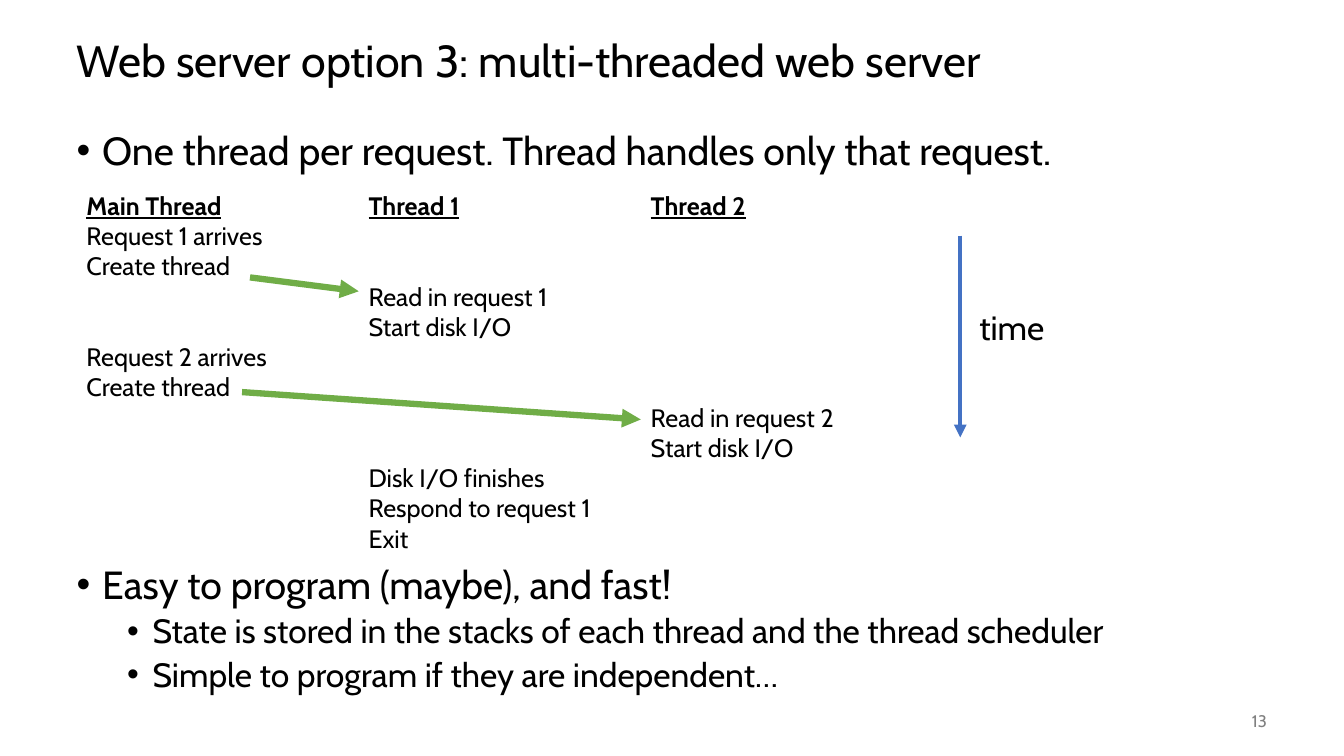
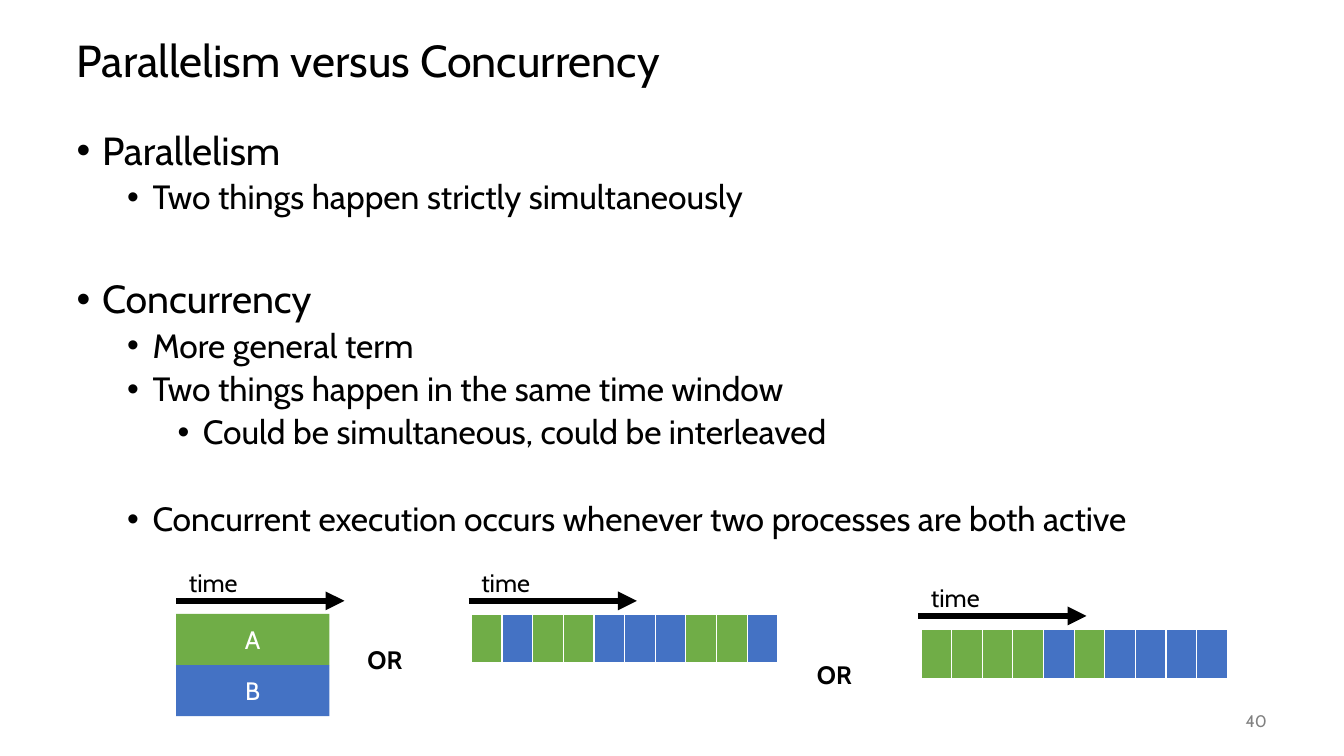
from pptx import Presentation
from pptx import util as u
from pptx.dml.color import RGBColor
from pptx.enum import shapes, text
from pptx.oxml.ns import qn
from lxml import etree

# Shared style
FONT = "Cabin"
BLACK, WHITE, GREY = "000000", "FFFFFF", "808080"
GREEN, BLUE = "70AD47", "4472C4"
LEFT, WIDTH = 1.68, 30.48
LEVELS = [(28, 14), (24, 5), (24, 5)]  # text size, space before
ROW_HEIGHT = 21.6  # points per row of the thread columns

# Content: bullets are (level, text, extra gap above in points)
THREADED = {
    "title": "Web server option 3: multi-threaded web server",
    "number": "13",
    "bullets": [
        (0, "One thread per request. Thread handles only that request.", 0),
        (0, "Easy to program (maybe), and fast!", 266),
        (1, "State is stored in the stacks of each thread and the thread scheduler", 0),
        (1, "Simple to program if they are independent…", 0),
    ],
}
CONCURRENCY = {
    "title": "Parallelism versus Concurrency",
    "number": "40",
    "bullets": [
        (0, "Parallelism", 0),
        (1, "Two things happen strictly simultaneously", 0),
        (0, "Concurrency", 31),
        (1, "More general term", 0),
        (1, "Two things happen in the same time window", 0),
        (2, "Could be simultaneous, could be interleaved", 0),
        (1, "Concurrent execution occurs whenever two processes are both active", 31),
    ],
}
# Each thread maps a time row to what happens then
THREADS = [
    {0: "Main Thread", 1: "Request 1 arrives", 2: "Create thread",
     5: "Request 2 arrives", 6: "Create thread"},
    {0: "Thread 1", 3: "Read in request 1", 4: "Start disk I/O",
     9: "Disk I/O finishes", 10: "Respond to request 1", 11: "Exit"},
    {0: "Thread 2", 7: "Read in request 2", 8: "Start disk I/O"},
]
SPAWN_ARROWS = [((6.3, 6.99), (9.04, 7.34)), ((6.1, 9.88), (16.15, 10.57))]
PROCESSES = {"A": GREEN, "B": BLUE}
# Timelines: arrow left, arrow height, order of slices (None when stacked)
TIMELINES = [(4.44, 15.14, None), (11.81, 15.14, "ABAABBBAAB"),
             (23.14, 15.52, "AAAABABBBB")]


def colour(value):
    return RGBColor.from_string(value)


def set_font(para, size, shade=BLACK, bold=False):
    font = para.font
    font.name, font.size, font.bold = FONT, u.Pt(size), bold
    font.color.rgb = colour(shade)


def lengths(*values):
    return [u.Cm(value) for value in values]


def add_label(page, words, place, size=18, shade=BLACK, bold=False, wrap=True):
    box = page.shapes.add_textbox(*lengths(*place))
    box.text_frame.word_wrap = wrap
    para = box.text_frame.paragraphs[0]
    para.text = words
    set_font(para, size, shade, bold)
    return box


def add_arrow(page, start, end, shade, width):
    line = page.shapes.add_connector(shapes.MSO_CONNECTOR.STRAIGHT,
                                     *lengths(*start, *end))
    line.line.color.rgb = colour(shade)
    line.line.width = u.Pt(width)
    etree.SubElement(line.line._get_or_add_ln(), qn("a:tailEnd"), type="triangle")
    etree.SubElement(line._element.spPr, qn("a:effectLst"))


def move(shape, *place):
    shape.left, shape.top, shape.width, shape.height = lengths(*place)


def add_bullet(para, level, words, gap):
    size, space = LEVELS[level]
    para.text, para.level, para.line_spacing = words, level, 0.9
    para.space_before = u.Pt(space + gap)
    props = para._p.get_or_add_pPr()
    props.set("marL", str(u.Cm(0.64 + 1.27 * level)))
    props.set("indent", str(-u.Cm(0.64)))
    etree.SubElement(props, qn("a:buChar"), char="•")
    set_font(para, size)


def add_page(deck, content):
    page = deck.slides.add_slide(deck.slide_layouts[1])
    # Title
    title = page.shapes.title
    move(title, LEFT, 0.64, WIDTH, 1.9)
    title.text_frame.vertical_anchor = text.MSO_ANCHOR.MIDDLE
    title.text_frame.auto_size = text.MSO_AUTO_SIZE.NONE
    para = title.text_frame.paragraphs[0]
    para.text, para.line_spacing = content["title"], 0.9
    para.alignment = text.PP_ALIGN.LEFT
    set_font(para, 32)
    # Bulleted body
    body = page.placeholders[1]
    move(body, LEFT, 3.18, WIDTH, 14.4)
    frame = body.text_frame
    frame.auto_size = text.MSO_AUTO_SIZE.NONE
    for index, bullet in enumerate(content["bullets"]):
        para = frame.add_paragraph() if index else frame.paragraphs[0]
        add_bullet(para, *bullet)
    frame.paragraphs[0].space_before = u.Pt(0)
    # Slide number
    number = add_label(page, content["number"], (29.64, 17.65, 2.54, 1.02), 12, GREY)
    number.text_frame.vertical_anchor = text.MSO_ANCHOR.MIDDLE
    number.text_frame.paragraphs[0].alignment = text.PP_ALIGN.RIGHT
    return page


def add_thread(page, left, events):
    heading, *steps = events.items()
    box = add_label(page, heading[1], (left, 4.67, 7.11, 10), bold=True)
    box.text_frame.paragraphs[0].font.underline = True
    previous = heading[0]
    for row, words in steps:
        para = box.text_frame.add_paragraph()
        para.text = words
        para.space_before = u.Pt((row - previous - 1) * ROW_HEIGHT)
        set_font(para, 18)
        previous = row


def add_stack(page, left, top):
    height = 1.29
    for index, (name, shade) in enumerate(PROCESSES.items()):
        box = page.shapes.add_shape(
            shapes.MSO_SHAPE.RECTANGLE,
            *lengths(left, top + index * height, 3.86, height))
        box.shadow.inherit = False
        box.fill.solid()
        box.fill.fore_color.rgb = colour(shade)
        box.line.fill.background()
        box.text_frame.vertical_anchor = text.MSO_ANCHOR.MIDDLE
        para = box.text_frame.paragraphs[0]
        para.text, para.alignment = name, text.PP_ALIGN.CENTER
        set_font(para, 18, WHITE)


def add_borders(cell):
    props = cell._tc.get_or_add_tcPr()
    for side, width in (("L", 1), ("R", 1), ("T", 1), ("B", 3)):
        line = etree.SubElement(props, qn("a:ln" + side), w=str(u.Pt(width)))
        fill = etree.SubElement(line, qn("a:solidFill"))
        etree.SubElement(fill, qn("a:srgbClr"), val=WHITE)


def add_slices(page, left, top, order):
    table = page.shapes.add_table(
        1, len(order), *lengths(left, top, 7.72, 1.27)).table
    table.first_row = table.horz_banding = False
    for column, cell, name in zip(table.columns, table.rows[0].cells, order):
        column.width = u.Cm(7.72 / len(order))
        add_borders(cell)
        cell.fill.solid()
        cell.fill.fore_color.rgb = colour(PROCESSES[name])


def build_threaded(deck):
    page = add_page(deck, THREADED)
    for index, events in enumerate(THREADS):
        add_thread(page, 1.93 + 7.11 * index, events)
    add_arrow(page, (24.2, 5.94), (24.2, 11.02), BLUE, 3)
    add_label(page, "time", (24.43, 7.62, 2.16, 1.27), 24, wrap=False)
    for start, end in SPAWN_ARROWS:
        add_arrow(page, start, end, GREEN, 4.5)


def build_concurrency(deck):
    page = add_page(deck, CONCURRENCY)
    previous_top = None
    for left, top, order in TIMELINES:
        add_arrow(page, (left, top), (left + 4.24, top), BLACK, 4.5)
        add_label(page, "time", (left + 0.07, top - 0.97, 1.96, 1.02))
        if order:
            add_slices(page, left + 0.07, top + 0.33, order)
            add_label(page, "OR", (left - 2.8, top + 0.97, 2.44, 1.02), bold=True)
        else:
            add_stack(page, left, top + 0.33)


def main():
    deck = Presentation()
    deck.slide_width, deck.slide_height = lengths(33.87, 19.05)
    build_threaded(deck)
    build_concurrency(deck)
    deck.save("out.pptx")


if __name__ == "__main__":
    main()
